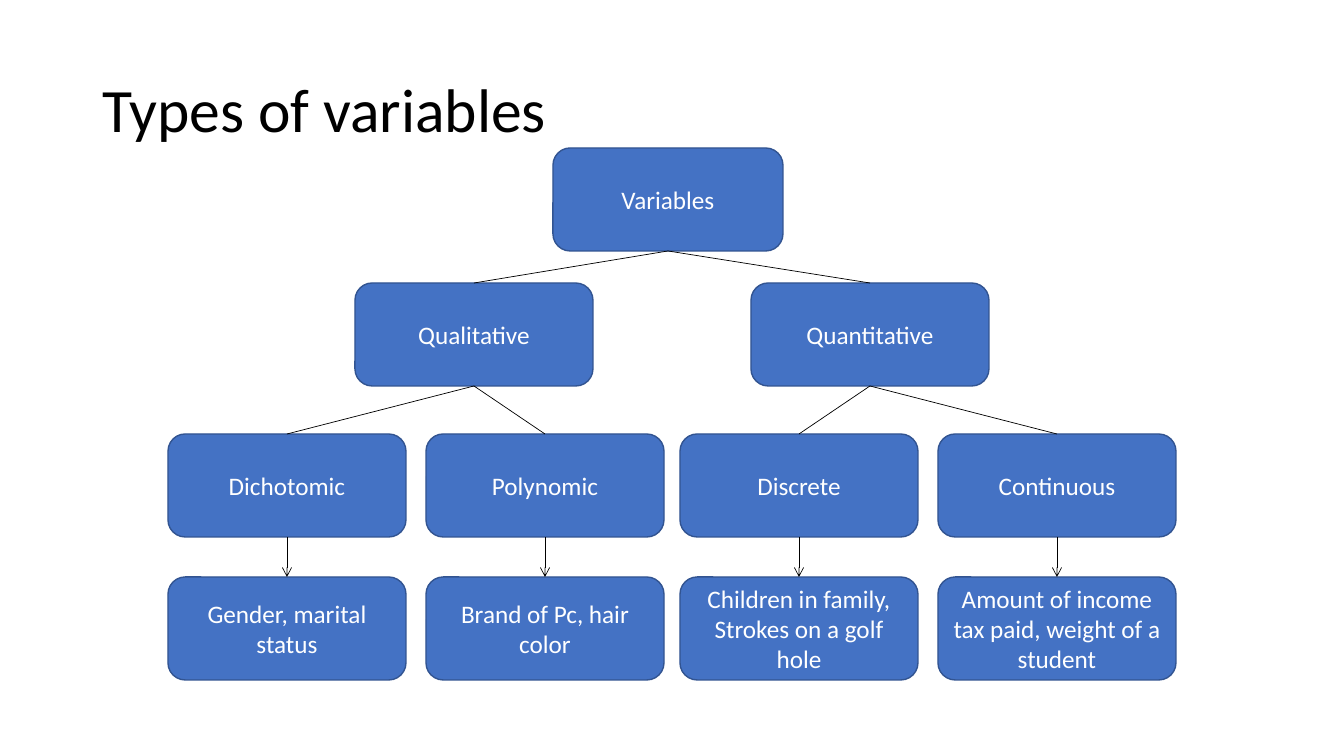
from lxml import etree
from pptx import Presentation
from pptx.dml.color import RGBColor
from pptx.enum.shapes import MSO_CONNECTOR, MSO_SHAPE
from pptx.enum.text import MSO_ANCHOR, MSO_AUTO_SIZE, PP_ALIGN
from pptx.oxml.ns import qn
from pptx.util import Pt

ROUNDED = MSO_SHAPE.ROUNDED_RECTANGLE
STRAIGHT = MSO_CONNECTOR.STRAIGHT
MIDDLE = MSO_ANCHOR.MIDDLE
FIXED = MSO_AUTO_SIZE.NONE
LEFT, CENTER = PP_ALIGN.LEFT, PP_ALIGN.CENTER

EMU_PER_PIXEL = 914400 / 100.8
TOP_SITE, BOTTOM_SITE = 0, 2
TITLE_ONLY = 5
COLORS = {"box": "4472C4", "border": "325491", "link": "000000",
          "title": "000000", "label": "FFFFFF"}

BOX_WIDTH, ROOT_WIDTH, BOX_HEIGHT = 238, 230, 103
ROOT_TOP, KIND_TOP, TYPE_TOP, EXAMPLE_TOP = 148, 283, 434, 577
ROOT_CENTER = 668
# Each kind: name, center, then its types as (name, center, examples)
KINDS = [
    ("Qualitative", 474, [
        ("Dichotomic", 287, "Gender, marital status"),
        ("Polynomic", 545, "Brand of Pc, hair color")]),
    ("Quantitative", 870, [
        ("Discrete", 799, "Children in family, Strokes on a golf hole"),
        ("Continuous", 1057, "Amount of income tax paid, weight of a student")]),
]


def px(pixels):
    """Turn pixels into EMU."""
    return round(pixels * EMU_PER_PIXEL)


def color(name):
    """Look up a named color."""
    return RGBColor.from_string(COLORS[name])


def apply(target, values):
    """Set each attribute of the target from a dict."""
    for attribute, value in values.items():
        setattr(target, attribute, value)


class TreeSlide:
    """Holds the style and the current slide."""

    font = "Calibri"

    def __init__(self, deck):
        """Add a slide with a title only."""
        self.slide = deck.slides.add_slide(deck.slide_layouts[TITLE_ONLY])

    def label(self, shape, text, size, ink, paragraph_format):
        """Put formatted, vertically centered text in a shape."""
        frame = shape.text_frame
        frame.text = text
        apply(frame, {"word_wrap": True, "auto_size": FIXED,
                      "vertical_anchor": MIDDLE})
        paragraph = frame.paragraphs[0]
        apply(paragraph, paragraph_format)
        font = paragraph.runs[0].font
        apply(font, {"name": self.font, "size": Pt(size)})
        font.color.rgb = color(ink)

    def title(self, text, left, top, width, height):
        """Place and fill the title placeholder."""
        heading = self.slide.shapes.title
        apply(heading, {"left": px(left), "top": px(top),
                        "width": px(width), "height": px(height)})
        self.label(heading, text, 44, "title",
                   {"alignment": LEFT, "line_spacing": 0.9})

    def box(self, text, center, top, width=BOX_WIDTH):
        """Add a rounded box centered on a column."""
        node = self.slide.shapes.add_shape(
            ROUNDED, px(center - width / 2), px(top), px(width), px(BOX_HEIGHT))
        node.shadow.inherit = False
        node.fill.solid()
        node.fill.fore_color.rgb = color("box")
        node.line.color.rgb = color("border")
        node.line.width = Pt(1)
        self.label(node, text, 18, "label", {"alignment": CENTER})
        return node

    def link(self, parent, child, arrow=False):
        """Join the bottom of a parent to the top of its child."""
        edge = self.slide.shapes.add_connector(STRAIGHT, 0, 0, 0, 0)
        edge.begin_connect(parent, BOTTOM_SITE)
        edge.end_connect(child, TOP_SITE)
        edge.line.color.rgb = color("link")
        edge.line.width = Pt(0.5)
        properties = edge._element.spPr
        if arrow:
            outline = properties.find(qn("a:ln"))
            etree.SubElement(outline, qn("a:tailEnd"), type="arrow")
        etree.SubElement(properties, qn("a:effectLst"))


def main():
    """Build the tree of variable types."""
    deck = Presentation()
    apply(deck, {"slide_width": px(1344), "slide_height": px(756)})
    tree = TreeSlide(deck)
    tree.title("Types of variables", 92, 40, 1159, 146)
    root = tree.box("Variables", ROOT_CENTER, ROOT_TOP, ROOT_WIDTH)
    for kind_name, kind_center, types in KINDS:
        kind = tree.box(kind_name, kind_center, KIND_TOP)
        tree.link(root, kind)
        for type_name, center, examples in types:
            variable_type = tree.box(type_name, center, TYPE_TOP)
            example = tree.box(examples, center, EXAMPLE_TOP)
            tree.link(kind, variable_type)
            tree.link(variable_type, example, arrow=True)
    deck.save("out.pptx")


main()
